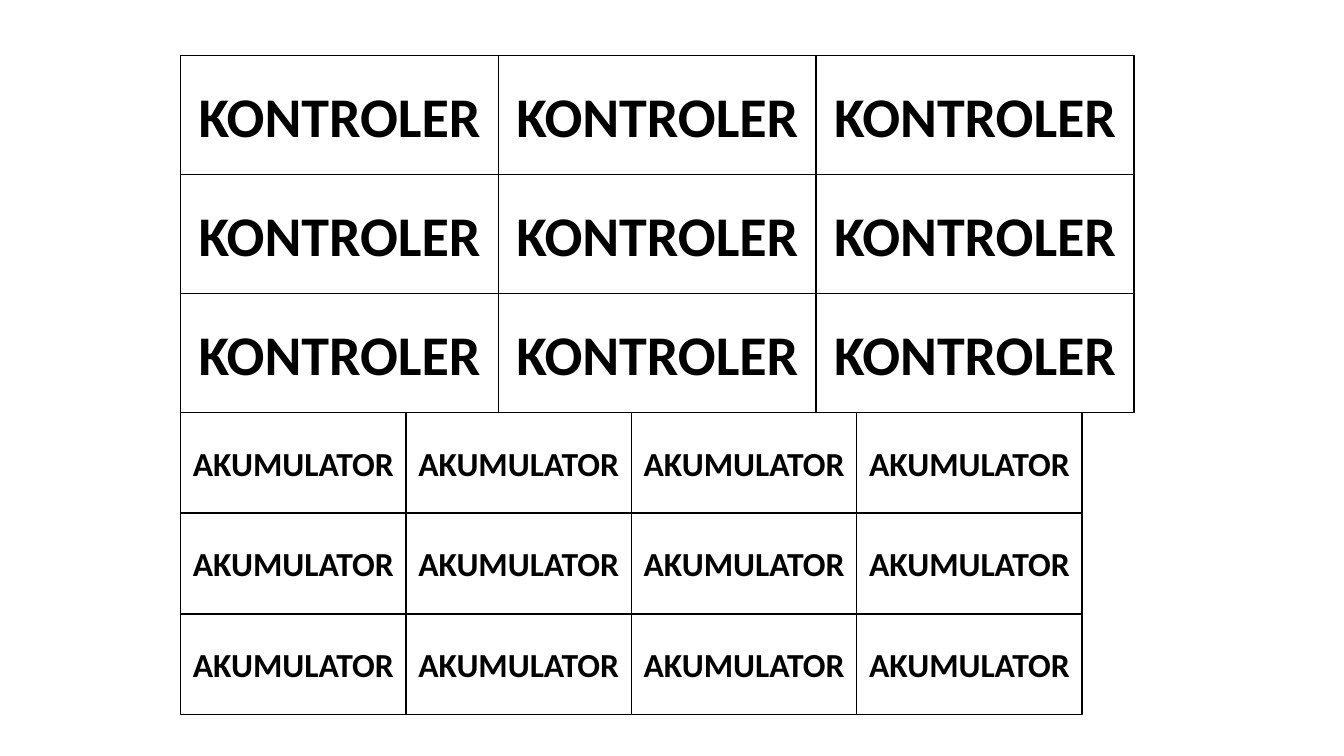
from dataclasses import dataclass
from itertools import product

from pptx import Presentation
from pptx.dml.color import RGBColor
from pptx.enum.shapes import MSO_SHAPE
from pptx.enum.text import MSO_ANCHOR, PP_ALIGN
from pptx.slide import Slide
from pptx.util import Emu, Pt

EMU_PER_PX = 6350
BLACK = RGBColor(0x00, 0x00, 0x00)
WHITE = RGBColor(0xFF, 0xFF, 0xFF)
FONT_NAME = "Calibri"
BLANK_LAYOUT = 6


@dataclass(frozen=True)
class LabelGrid:
    text: str
    font_size: int
    left: int
    top: int
    columns: int
    rows: int
    label_width: int
    label_height: int


GRIDS = [
    LabelGrid("KONTROLER", 40, 258, 79, 3, 3, 454, 170),
    LabelGrid("AKUMULATOR", 24, 258, 589, 4, 3, 322, 144),
]


def px(length: int) -> Emu:
    return Emu(length * EMU_PER_PX)


def draw_label(slide: Slide, grid: LabelGrid, row: int, column: int) -> None:
    shape = slide.shapes.add_shape(
        MSO_SHAPE.RECTANGLE,
        px(grid.left + column * grid.label_width),
        px(grid.top + row * grid.label_height),
        px(grid.label_width),
        px(grid.label_height),
    )
    shape.shadow.inherit = False
    shape.fill.solid()
    shape.fill.fore_color.rgb = WHITE
    shape.line.color.rgb = BLACK
    shape.line.width = Pt(1)

    text_frame = shape.text_frame
    text_frame.text = grid.text
    text_frame.word_wrap = True
    text_frame.vertical_anchor = MSO_ANCHOR.MIDDLE
    paragraph = text_frame.paragraphs[0]
    paragraph.alignment = PP_ALIGN.CENTER
    font = paragraph.runs[0].font
    font.name = FONT_NAME
    font.size = Pt(grid.font_size)
    font.bold = True
    font.color.rgb = BLACK


def draw_grid(slide: Slide, grid: LabelGrid) -> None:
    for row, column in product(range(grid.rows), range(grid.columns)):
        draw_label(slide, grid, row, column)


def main() -> None:
    presentation = Presentation()
    presentation.slide_width = px(1920)
    presentation.slide_height = px(1080)
    slide = presentation.slides.add_slide(presentation.slide_layouts[BLANK_LAYOUT])
    for grid in GRIDS:
        draw_grid(slide, grid)
    presentation.save("out.pptx")


if __name__ == "__main__":
    main()
